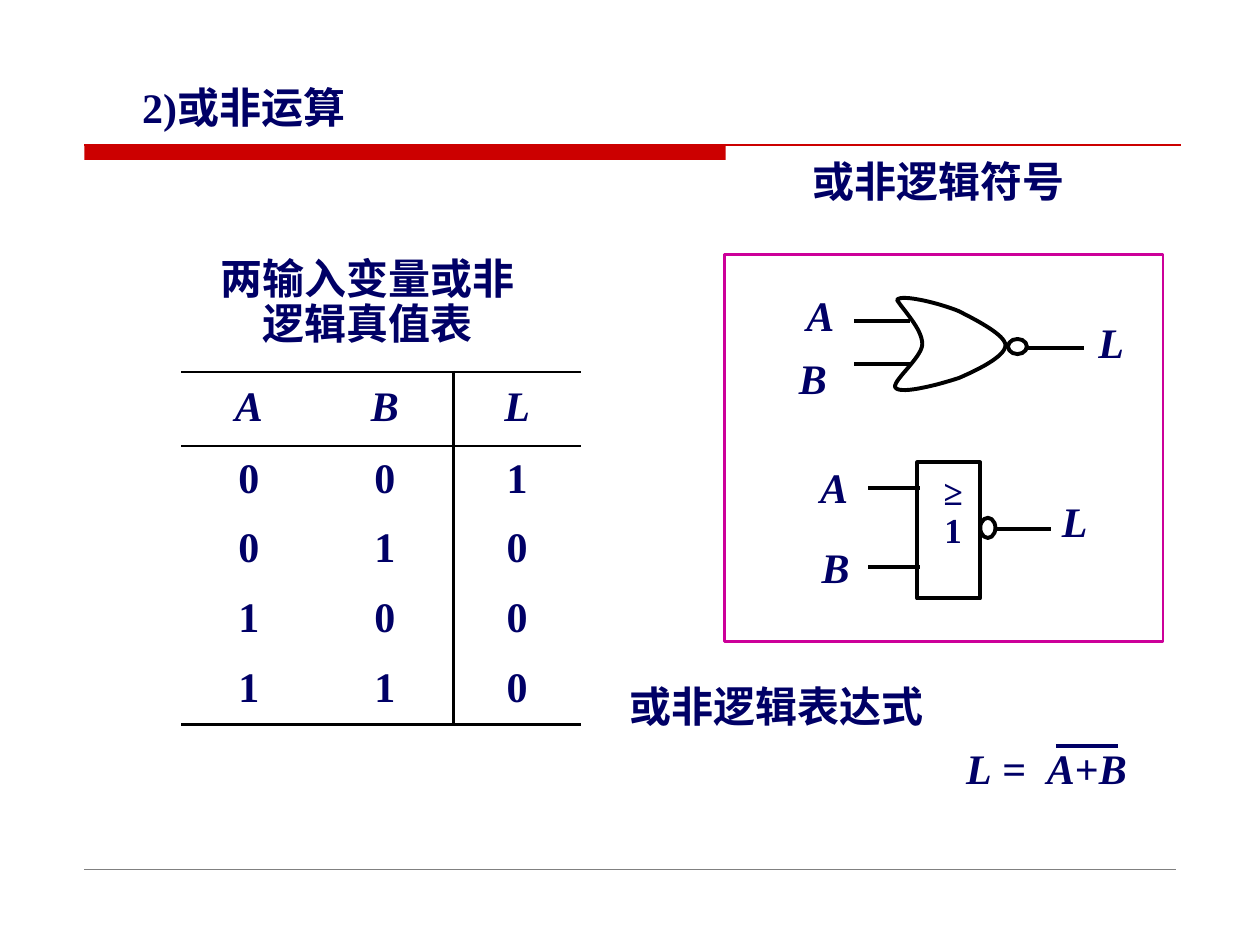
import dataclasses

import pptx
import pptx.dml.color
import pptx.enum.shapes
import pptx.enum.text
import pptx.oxml
import pptx.oxml.ns
import pptx.util

COLS, ROWS = 100, 75
UNIT = pptx.util.Inches(0.1)
SHAPE = pptx.enum.shapes.MSO_SHAPE
ALIGN = pptx.enum.text.PP_ALIGN


@dataclasses.dataclass(frozen=True)
class Theme:
    font: str = "Times New Roman"
    text: str = "000066"
    ink: str = "000000"
    accent: str = "CC0000"
    frame: str = "CC0099"
    footer: str = "808080"
    body: int = 24
    small: int = 20
    hairline: float = 0.25
    thin: float = 0.75
    rule: float = 1.5
    wire: float = 2.25
    spacing: float = 0.9


@dataclasses.dataclass(frozen=True)
class Box:
    x: float
    y: float
    w: float
    h: float

    def sub(self, x, y, w, h):
        return Box(self.x + x, self.y + y, w, h)

    def point(self, x, y):
        return round((self.x + x) * UNIT), round((self.y + y) * UNIT)

    def emu(self):
        return *self.point(0, 0), round(self.w * UNIT), round(self.h * UNIT)


THEME = Theme()


def rgb(value):
    return pptx.dml.color.RGBColor.from_string(value)


def style_run(r, size=THEME.body, italic=False):
    r.font.name, r.font.size = THEME.font, pptx.util.Pt(size)
    r.font.bold, r.font.italic = True, italic
    r.font.color.rgb = rgb(THEME.text)


def style_paragraph(p, size=THEME.body, italic=False):
    p.alignment, p.line_spacing = ALIGN.CENTER, THEME.spacing
    for r in p.runs:
        style_run(r, size, italic)


def add_label(s, box, text, size=THEME.body, italic=False, wrap=False):
    tf = s.shapes.add_textbox(*box.emu()).text_frame
    tf.margin_left = tf.margin_right = tf.margin_top = tf.margin_bottom = 0
    tf.word_wrap = wrap
    tf.text = text
    style_paragraph(tf.paragraphs[0], size, italic)


def add_heading(s, box, text):
    tf = s.shapes.add_textbox(*box.emu()).text_frame
    tf.word_wrap = True
    tf.text = text
    style_run(tf.paragraphs[0].runs[0])


def add_line(s, box, x1, y1, x2, y2, color=THEME.ink, width=THEME.wire):
    line = s.shapes.add_connector(
        pptx.enum.shapes.MSO_CONNECTOR.STRAIGHT, *box.point(x1, y1), *box.point(x2, y2))
    line.line.color.rgb, line.line.width = rgb(color), pptx.util.Pt(width)
    line._element.spPr.append(pptx.oxml.parse_xml(
        f'<a:effectLst {pptx.oxml.ns.nsdecls("a")}/>'))


def outline(sp, color=THEME.ink, width=THEME.wire):
    sp.shadow.inherit = False
    sp.fill.background()
    sp.line.color.rgb, sp.line.width = rgb(color), pptx.util.Pt(width)


def header(s, box):
    bar = s.shapes.add_shape(SHAPE.RECTANGLE, *box.sub(0, 5.5, 50.9, 1.2).emu())
    bar.shadow.inherit = False
    bar.fill.solid()
    bar.fill.fore_color.rgb = rgb(THEME.accent)
    bar.line.fill.background()
    add_line(s, box, 0, 5.5, box.w, 5.5, THEME.accent, THEME.thin)
    add_heading(s, box.sub(3.6, 0, 25, 5), "2)或非运算")


def footer(s, box):
    add_line(s, box, 0, 0, box.w, 0, THEME.footer, THEME.hairline)


def border_cell(cell, sides):
    tcPr = cell._tc.get_or_add_tcPr()
    for side in "LRTB":
        fill = (f'<a:solidFill><a:srgbClr val="{THEME.ink}"/></a:solidFill>'
                if side in sides else "<a:noFill/>")
        tcPr.append(pptx.oxml.parse_xml(
            f'<a:ln{side} {pptx.oxml.ns.nsdecls("a")} w="{pptx.util.Pt(THEME.rule)}">'
            f'{fill}</a:ln{side}>'))
    cell.fill.background()


def truth_table(s, box):
    rows = ["ABL", "001", "010", "100", "110"]
    widths = [10.7, 10.9, 10.1]
    head = 5.9
    add_label(s, box.sub(0, -9, 29.6, 7.2), "两输入变量或非\v逻辑真值表", wrap=True)
    table = s.shapes.add_table(len(rows), len(widths), *box.emu()).table
    table.first_row = table.horz_banding = False
    for column, width in zip(table.columns, widths):
        column.width = round(width * UNIT)
    for i, values in enumerate(rows):
        height = head if i == 0 else (box.h - head) / (len(rows) - 1)
        table.rows[i].height = round(height * UNIT)
        for j, value in enumerate(values):
            cell = table.cell(i, j)
            cell.margin_left = cell.margin_right = cell.margin_top = cell.margin_bottom = 0
            cell.vertical_anchor = pptx.enum.text.MSO_ANCHOR.MIDDLE
            cell.text_frame.text = value
            style_paragraph(cell.text_frame.paragraphs[0], italic=i == 0)
            sides = {0: "TB", 1: "T", len(rows) - 1: "B"}.get(i, "")
            border_cell(cell, sides + ["", "R", "L"][j])


def terminals(s, box, labels, wires, bubble):
    for text, (x, y) in zip("ABL", labels):
        add_label(s, box.sub(x, y, 2.2, 3.6), text, italic=True)
    for x1, x2, y in wires:
        add_line(s, box, x1, y, x2, y)
    outline(s.shapes.add_shape(SHAPE.OVAL, *box.sub(*bubble).emu()))


def curve_points(start, curves, steps=16):
    for b, c, end in curves:
        for k in range(1, steps + 1):
            t = k / steps
            weights = (1 - t) ** 3, 3 * t * (1 - t) ** 2, 3 * t * t * (1 - t), t ** 3
            yield tuple(sum(w * v for w, v in zip(weights, axis))
                        for axis in zip(start, b, c, end))
        start = end


def curved_gate(s, box):
    start = (7.8, 0.5)
    curves = [
        ((8.1, 0), (11.3, 0.8), (12.7, 1.4)),
        ((14.1, 2.1), (16.4, 3.3), (16.4, 4.1)),
        ((16.4, 5), (14.1, 6.1), (12.7, 6.7)),
        ((11.2, 7.2), (8.2, 8), (7.7, 7.5)),
        ((7.2, 7.1), (9.8, 5.1), (9.8, 4)),
        ((9.8, 2.8), (8.2, 1.2), start),
    ]
    builder = s.shapes.build_freeform(*box.point(*start))
    builder.add_line_segments([box.point(*pt) for pt in curve_points(start, curves)], close=True)
    outline(builder.convert_to_shape())
    terminals(s, box, [(0.6, 0.1), (0, 5.1), (23.7, 2.3)],
              [(4.4, 8.8, 2.2), (4.4, 9, 5.6), (18.1, 22.6, 4.3)], (16.6, 3.6, 1.5, 1.2))


def rectangular_gate(s, box):
    outline(s.shapes.add_shape(SHAPE.RECTANGLE, *box.sub(7.7, 0, 5, box.h).emu()))
    add_label(s, box.sub(9.1, 1, 2.9, 3), "≥1", THEME.small)
    terminals(s, box, [(0, 0.4), (0.1, 6.7), (19.1, 3.1)],
              [(3.8, 7.9, 2), (3.8, 7.9, 8.3), (13.9, 18.3, 5.3)], (12.7, 4.4, 1.2, 1.6))


def logic_symbols(s, box):
    add_label(s, box.sub(4.3, -7.4, 25.4, 3.6), "或非逻辑符号", wrap=True)
    outline(s.shapes.add_shape(SHAPE.RECTANGLE, *box.emu()), THEME.frame, THEME.rule)
    curved_gate(s, box.sub(5.9, 3.1, 25.8, 8.7))
    rectangular_gate(s, box.sub(7.6, 16.5, 21.2, 10.8))


def expression(s, box):
    add_heading(s, box.sub(0, 0, 28.1, 5), "或非逻辑表达式")
    tf = s.shapes.add_textbox(*box.sub(26.7, 4.9, 22.1, 5).emu()).text_frame
    tf.word_wrap = True
    p = tf.paragraphs[0]
    p._p.get_or_add_pPr().append(pptx.oxml.parse_xml(
        f'<a:tabLst {pptx.oxml.ns.nsdecls("a")}>'
        f'<a:tab pos="{round(6.4 * UNIT)}" algn="l"/></a:tabLst>'))
    for text in ["L", " =\t", "A", "+", "B"]:
        r = p.add_run()
        r.text = text
        style_run(r, italic=text.isalpha())
    add_line(s, box, 34.8, 5.7, 39.7, 5.7, THEME.text)


def main():
    prs = pptx.Presentation()
    prs.slide_width, prs.slide_height = COLS * UNIT, ROWS * UNIT
    s = prs.slides.add_slide(prs.slide_layouts[6])
    header(s, Box(6.7, 6, 87, 6.7))
    footer(s, Box(6.7, 69, 86.6, 0))
    truth_table(s, Box(14.4, 29.5, 31.7, 28))
    logic_symbols(s, Box(57.5, 20.2, 34.8, 30.7))
    expression(s, Box(49, 53.5, 48.8, 9.9))
    prs.save("out.pptx")


if __name__ == "__main__":
    main()
